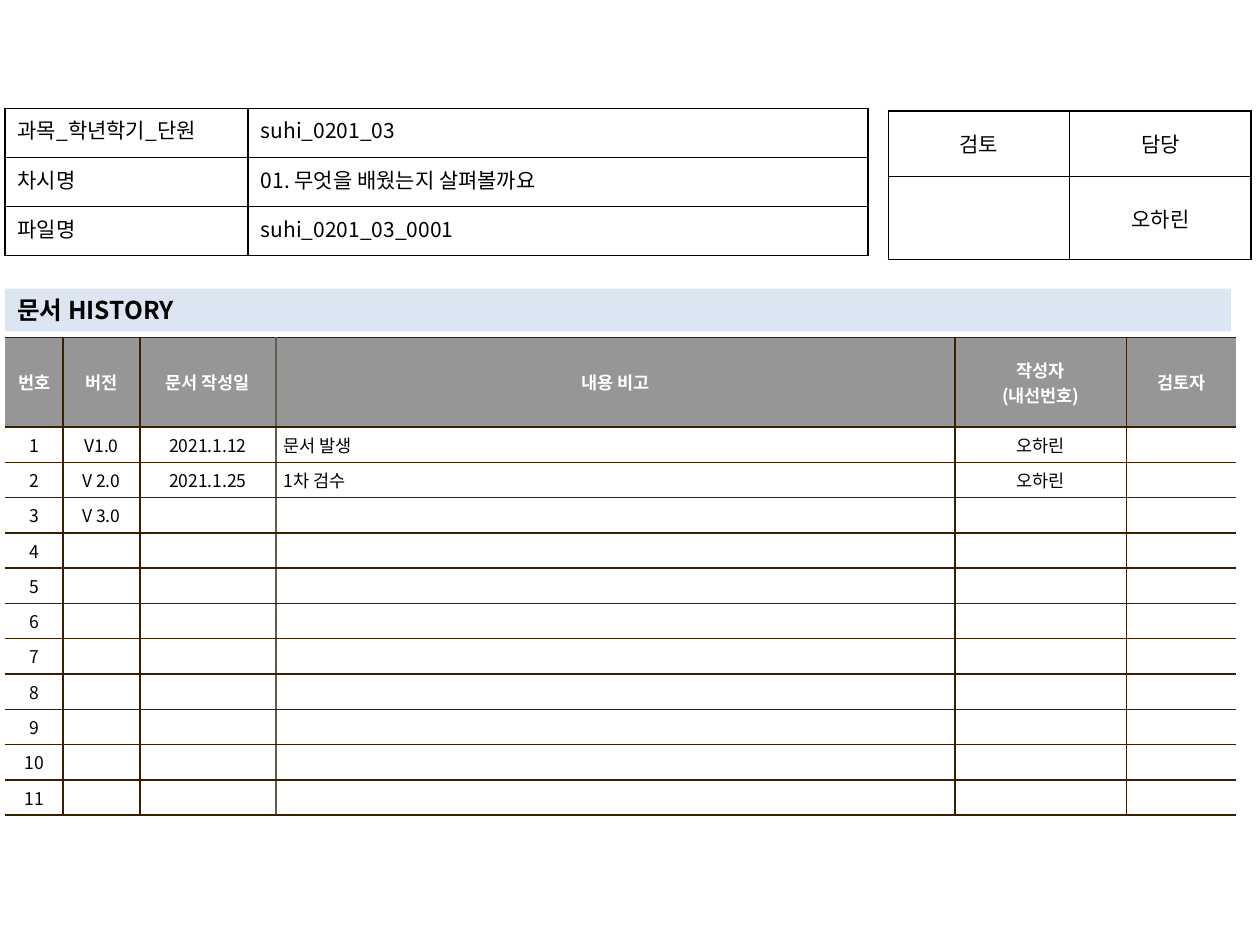
from dataclasses import dataclass

from lxml import etree
from pptx import Presentation
from pptx import util as u
from pptx.dml.color import RGBColor
from pptx.enum import shapes, text
from pptx.oxml import ns

Inches = u.Inches
LEFT, CENTER, JUSTIFY = text.PP_ALIGN.LEFT, text.PP_ALIGN.CENTER, text.PP_ALIGN.JUSTIFY


@dataclass
class Theme:
    font: str = "Noto Sans CJK KR"
    black: str = "000000"
    white: str = "FFFFFF"
    header: str = "969696"
    band: str = "DCE6F2"
    brown: str = "362000"
    taupe: str = "645B4C"
    small: int = 10
    body: int = 12
    title: int = 14


theme = Theme()


def style_text(frame, size, color, align, bold=False):
    """Format every paragraph, including the empty ones that set row height."""
    for para in frame.paragraphs:
        para.alignment = align
        for span in para.runs:
            span.font.size = u.Pt(size)
            span.font.bold = bold
            span.font.color.rgb = RGBColor.from_string(color)
            span.font.name = theme.font
            east_asian = etree.SubElement(span.font._element, ns.qn("a:ea"))
            east_asian.set("typeface", theme.font)
        if not para.runs:
            end = etree.SubElement(para._p, ns.qn("a:endParaRPr"))
            end.set("sz", str(size * 100))


def add_grid(left, top, widths, heights, rows, margins, borders):
    """Add a plain table; borders(column) gives left, right, top, bottom colours."""
    table = page.shapes.add_table(
        len(heights), len(widths), Inches(left), Inches(top),
        Inches(sum(widths)), Inches(sum(heights))).table
    table.first_row = table.horz_banding = False
    for column, width in zip(table.columns, widths):
        column.width = Inches(width)
    for row, height, values in zip(table.rows, heights, rows):
        row.height = Inches(height)
        for index, (cell, value) in enumerate(zip(row.cells, values)):
            cell.text_frame.text = value
            cell.margin_left = cell.margin_right = Inches(margins[0])
            cell.margin_top = cell.margin_bottom = Inches(margins[1])
            cell.fill.background()
            props = cell._tc.get_or_add_tcPr()
            for place, (side, color) in enumerate(zip("LRTB", borders(index))):
                line = etree.Element(ns.qn(f"a:ln{side}"), w="12700")
                if color:
                    fill = etree.SubElement(line, ns.qn("a:solidFill"))
                    etree.SubElement(fill, ns.qn("a:srgbClr"), val=color)
                else:
                    etree.SubElement(line, ns.qn("a:noFill"))
                props.insert(place, line)
    return table


deck = Presentation()
deck.slide_width, deck.slide_height = Inches(10), Inches(7.5)
page = deck.slides.add_slide(deck.slide_layouts[6])

# Document history table: open at both sides, taupe rule before the notes
history_rows = [
    ["번호", "버전", "문서 작성일", "내용 비고", "작성자\n(내선번호)", "검토자"],
    ["1", "V1.0", "2021.1.12", "문서 발생", "오하린", ""],
    ["2", "V 2.0", "2021.1.25", "1차 검수", "오하린", ""],
    ["3", "V 3.0", "", "", "", ""],
]
history_rows += [[str(number)] + [""] * 5 for number in range(4, 12)]
NOTES = 3
rules = [None, theme.brown, theme.brown, theme.taupe, theme.brown, theme.brown, None]
history = add_grid(
    0.04, 2.68, [0.46, 0.61, 1.08, 5.39, 1.36, 0.87], [0.71] + [0.25] * 11,
    history_rows, (0.06, 0.04),
    lambda column: (rules[column], rules[column + 1], theme.brown, theme.brown))
for number, row in enumerate(history.rows):
    heading = number == 0
    for column, cell in enumerate(row.cells):
        note = column == NOTES and not heading
        cell.vertical_anchor = text.MSO_ANCHOR.MIDDLE
        cell.fill.solid()
        cell.fill.fore_color.rgb = RGBColor.from_string(
            theme.header if heading else theme.white)
        style_text(cell.text_frame, theme.small,
                   theme.white if heading else theme.black,
                   LEFT if note else CENTER, bold=heading)
        if note:
            props = cell.text_frame.paragraphs[0]._p.get_or_add_pPr()
            props.set("marL", str(Inches(0.19)))
            props.set("indent", str(Inches(-0.19)))

# Approval table
approval = add_grid(7.05, 0.88, [1.44] * 2, [0.52, 0.66],
                    [["검토", "담당"], ["", "오하린"]], (0.1, 0.05),
                    lambda column: [theme.black] * 4)
for cell in approval.iter_cells():
    cell.vertical_anchor = text.MSO_ANCHOR.MIDDLE
    style_text(cell.text_frame, theme.body, theme.black, CENTER)

# Section band
band = page.shapes.add_shape(shapes.MSO_SHAPE.RECTANGLE, Inches(0.04), Inches(2.29),
                             Inches(9.73), Inches(0.34))
band.shadow.inherit = False
band.fill.solid()
band.fill.fore_color.rgb = RGBColor.from_string(theme.band)
band.line.fill.background()
band.text_frame.text = "문서 HISTORY"
band.text_frame.word_wrap = True
band.text_frame.auto_size = text.MSO_AUTO_SIZE.SHAPE_TO_FIT_TEXT
style_text(band.text_frame, theme.title, theme.black, LEFT, bold=True)

# Lesson details table
details = add_grid(0.04, 0.86, [1.93, 4.92], [0.39] * 3, [
    ["과목_학년학기_단원 ", "suhi_0201_03"],
    ["차시명", "01. 무엇을 배웠는지 살펴볼까요"],
    ["파일명", "suhi_0201_03_0001"],
], (0.1, 0.05), lambda column: [theme.black] * 4)
for row in details.rows:
    for cell, align in zip(row.cells, (JUSTIFY, LEFT)):
        style_text(cell.text_frame, theme.body, theme.black, align)

deck.save("out.pptx")
